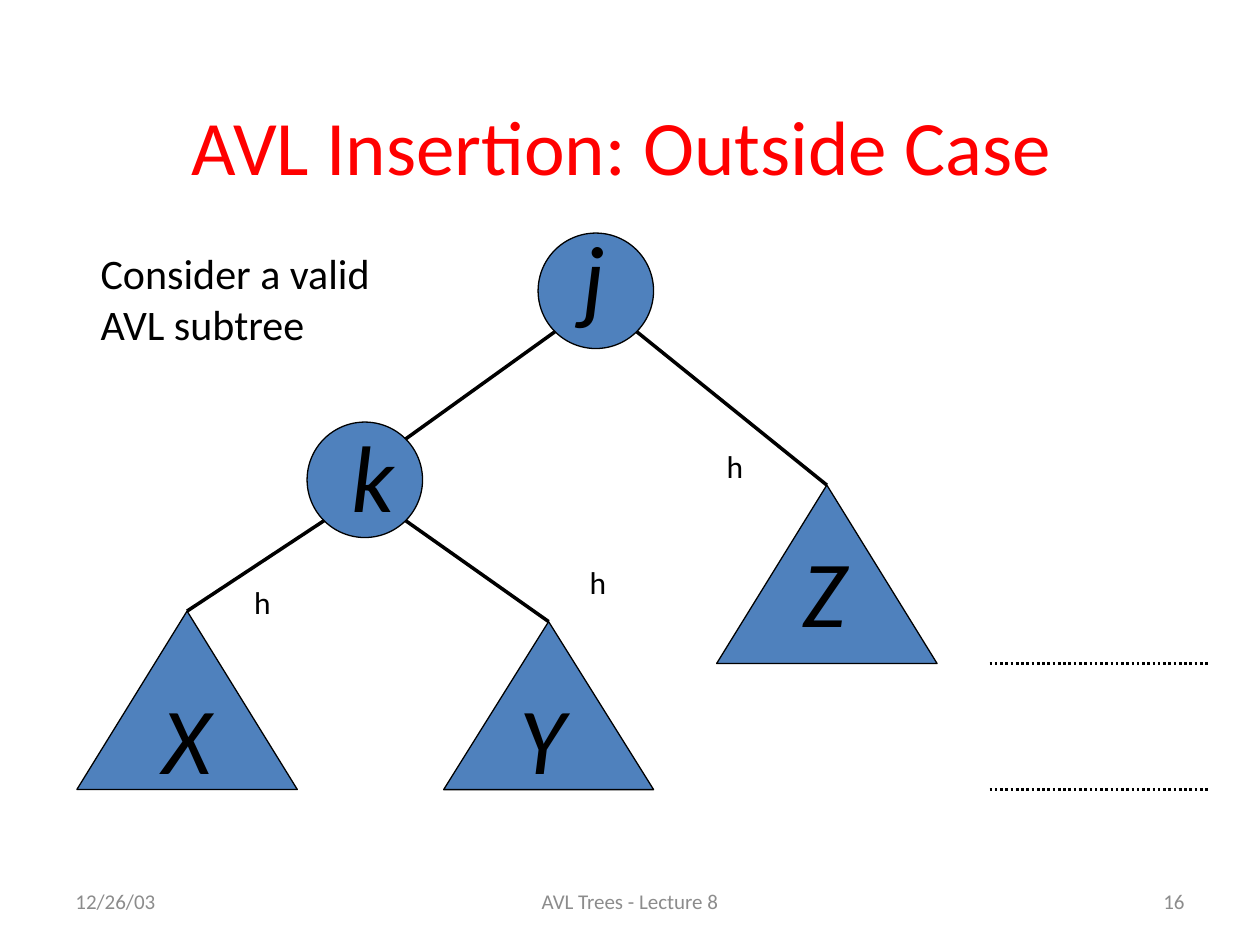
from math import sqrt
from lxml import etree
from pptx import Presentation
from pptx.util import Pt
from pptx.dml.color import RGBColor
from pptx.enum.dml import MSO_LINE as Dash
from pptx.enum.shapes import MSO_CONNECTOR as Link, MSO_SHAPE as Kind
from pptx.enum.text import MSO_ANCHOR as Anchor, PP_ALIGN as Align
from pptx.oxml.ns import qn


def color(code):
    return RGBColor.from_string(code)


class Sheet:
    """Draws the elements of an AVL tree slide in one style."""

    font, ink, blue, red, gray = "Calibri", "000000", "4F81BD", "FF0000", "8C8C8C"
    radius = 33

    def __init__(self, slide):
        self.slide = slide

    def text(self, words, x, y, w, h, size, ink=ink, align=Align.LEFT,
             anchor=Anchor.TOP, slant=False):
        frame = self.slide.shapes.add_textbox(Pt(x), Pt(y), Pt(w), Pt(h)).text_frame
        frame.word_wrap = True
        frame.vertical_anchor = anchor
        frame.text = words
        for para in frame.paragraphs:
            para.alignment = align
            for run in para.runs:
                run.font.name = self.font
                run.font.size = Pt(size)
                run.font.italic = slant
                run.font.color.rgb = color(ink)

    def letter(self, name, x, y):
        self.text(name, x, y, 40, 72, 54, slant=True)

    def shape(self, kind, x, y, w, h):
        item = self.slide.shapes.add_shape(kind, Pt(x), Pt(y), Pt(w), Pt(h))
        item.shadow.inherit = False
        item.fill.solid()
        item.fill.fore_color.rgb = color(self.blue)
        item.line.color.rgb = color(self.ink)
        item.line.width = Pt(0.75)

    def node(self, x, y):
        r = self.radius
        self.shape(Kind.OVAL, x - r, y - r, 2 * r, 2 * r)

    def tree(self, x, y, w, h):
        self.shape(Kind.ISOSCELES_TRIANGLE, x - w / 2, y, w, h)

    def line(self, start, end, width=2, dash=None):
        ends = [Pt(v) for v in (*start, *end)]
        item = self.slide.shapes.add_connector(Link.STRAIGHT, *ends)
        item.line.color.rgb = color(self.ink)
        item.line.width = Pt(width)
        if dash:
            item.line.dash_style = dash
        etree.SubElement(item._element.spPr, qn("a:effectLst"))

    def port(self, node, dx, dy):
        step = self.radius / sqrt(2)
        return node[0] + dx * step, node[1] + dy * step


def main():
    deck = Presentation()
    deck.slide_width, deck.slide_height = Pt(720), Pt(540)
    sheet = Sheet(deck.slides.add_slide(deck.slide_layouts[6]))

    for words, x, w, align in (("12/26/03", 36, 168, Align.LEFT),
                               ("AVL Trees - Lecture 8", 246, 228, Align.CENTER),
                               ("16", 516, 168, Align.RIGHT)):
        sheet.text(words, x, 500.5, w, 28.8, 12, sheet.gray, align, Anchor.MIDDLE)

    root, child = (340.5, 166.2), (208.5, 274.2)
    left, mid, right = (106.9, 349.2), (313.5, 355.2), (472.5, 277.2)
    for spot in (root, child):
        sheet.node(*spot)
    for top, w, h in ((left, 126, 102), (mid, 120, 96), (right, 126, 102)):
        sheet.tree(*top, w, h)

    sheet.line(sheet.port(root, -1, 1), sheet.port(child, 1, -1))
    sheet.line(sheet.port(root, 1, 1), right)
    sheet.line(sheet.port(child, -1, 1), left)
    sheet.line(sheet.port(child, 1, 1), mid)
    for y in (379.2, 451.2):
        sheet.line((565.5, y), (691.5, y), 1.5, Dash.ROUND_DOT)

    for name, x, y in (("j", 325.5, 121), ("k", 193.5, 235.5), ("X", 85.5, 385.2),
                       ("Y", 289.5, 385.2), ("Z", 451.5, 301)):
        sheet.letter(name, x, y)
    for x, y in ((408.2, 252), (138.2, 329.8), (329.8, 318.2)):
        sheet.text("h", x, y, 26, 31, 18)

    sheet.text("Consider a valid\nAVL subtree", 50.4, 138.2, 187.2, 64.8, 24)
    sheet.text("AVL Insertion: Outside Case", 47.6, 51.1, 615.6, 63.4, 44,
               sheet.red, Align.CENTER, Anchor.MIDDLE)
    deck.save("out.pptx")


if __name__ == "__main__":
    main()
